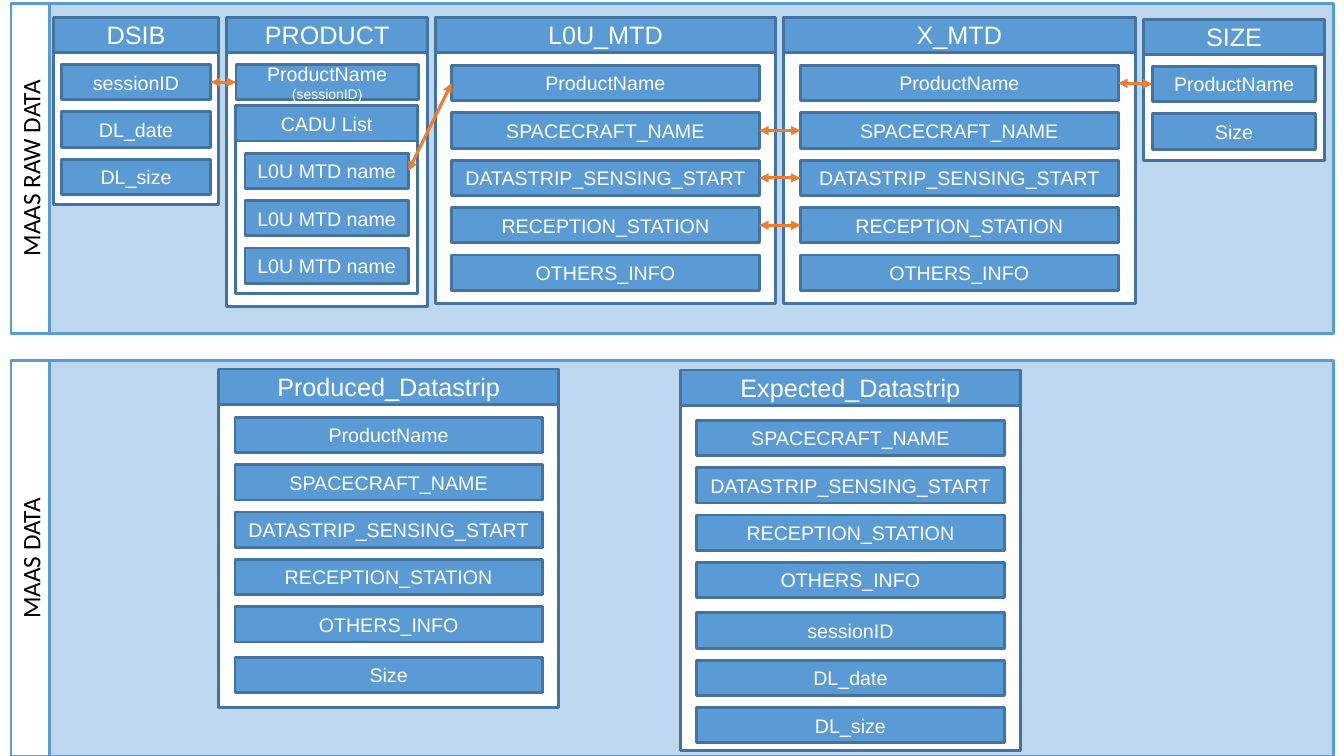
from dataclasses import dataclass
from lxml import etree
from pptx import Presentation
from pptx.dml.color import RGBColor
from pptx.enum import shapes, text
from pptx.oxml import ns
from pptx.util import Inches, Pt


@dataclass(frozen=True)
class Theme:
    """Colours, fonts and type sizes of the slide."""
    blue: str = "5B9BD5"
    edge: str = "43739E"
    pale: str = "BDD7EE"
    white: str = "FFFFFF"
    black: str = "000000"
    orange: str = "ED7D31"
    font: str = "Arial"
    side: str = "Calibri"
    head: int = 18
    row: int = 14
    note: int = 10


T = Theme()


def box(home, left, top, wide, high, fill, line, words="", size=T.row,
        ink=T.white, font=T.font):
    """Add a filled rectangle, with centred text if given, and return it."""
    item = home.add_shape(shapes.MSO_SHAPE.RECTANGLE, Inches(left),
                          Inches(top), Inches(wide), Inches(high))
    item.shadow.inherit = False
    item.fill.solid()
    item.fill.fore_color.rgb = RGBColor.from_string(fill)
    item.line.color.rgb = RGBColor.from_string(line)
    item.line.width = Pt(2)
    if words:
        frame = item.text_frame
        frame.text = words
        frame.word_wrap = True
        frame.vertical_anchor = text.MSO_ANCHOR.MIDDLE
        para = frame.paragraphs[0]
        para.alignment = text.PP_ALIGN.CENTER
        face = para.runs[0].font
        face.name, face.size = font, Pt(size)
        face.color.rgb = RGBColor.from_string(ink)
    return item


deck = Presentation()
deck.slide_width, deck.slide_height = Inches(13.33), Inches(7.5)
slide = deck.slides.add_slide(deck.slide_layouts[6])

# Bands and their side labels, each turned a quarter to the left
for name, mid, long in [("MAAS RAW DATA", 1.67, 3.27), ("MAAS DATA", 5.54, 3.92)]:
    for axis, deep, fill, words in [(6.67, 13.12, T.pale, ""),
                                    (0.3, 0.38, T.white, name)]:
        band = box(slide.shapes, axis - long / 2, mid - deep / 2, long, deep,
                   fill, T.blue, words, T.head, T.black, T.side)
        band.rotation = 270

# Cards: title, type size, left, top, width, height, side pad,
# then blocks of evenly spaced rows as (first top, names)
HIGH, STEP = 0.35, 0.47
META = ["SPACECRAFT_NAME", "DATASTRIP_SENSING_START", "RECEPTION_STATION",
        "OTHERS_INFO"]
FULL = ["ProductName"] + META
LOAD = ["sessionID", "DL_date", "DL_size"]
cards = [
    ("DSIB", T.head, 0.53, 0.17, 1.64, 1.86, 0.08, [(0.64, LOAD)]),
    ("PRODUCT", T.head, 2.25, 0.17, 1.99, 2.87, 0.09, [(0.64, ["ProductName "])]),
    ("CADU List", T.row, 2.34, 1.05, 1.8, 1.86, 0.09, [(1.52, ["L0U MTD name"] * 3)]),
    ("SIZE", T.head, 11.34, 0.19, 1.8, 1.4, 0.09, [(0.66, ["ProductName", "Size"])]),
    ("X_MTD", T.head, 7.77, 0.17, 3.49, 2.84, 0.17, [(0.65, FULL)]),
    ("L0U_MTD", T.head, 4.32, 0.17, 3.37, 2.84, 0.16, [(0.65, FULL)]),
    ("Produced_Datastrip", T.head, 2.17, 3.66, 3.37, 3.36, 0.16,
     [(4.14, FULL), (6.52, ["Size"])]),
    ("Expected_Datastrip", T.head, 6.75, 3.67, 3.37, 3.78, 0.16,
     [(4.17, META), (6.08, LOAD)]),
]
rows = {}
for title, size, left, top, wide, high, pad, blocks in cards:
    home = slide.shapes.add_group_shape().shapes
    box(home, left, top + 0.01, wide, high - 0.01, T.white, T.edge)
    box(home, left, top, wide, HIGH, T.blue, T.edge, title, size)
    for first, names in blocks:
        for i, name in enumerate(names):
            row = box(home, left + pad, first + i * STEP, wide - 2 * pad, HIGH,
                      T.blue, T.edge, name)
            rows.setdefault((title, name), row)

# Small note after the product name
note = rows["PRODUCT", "ProductName "].text_frame.paragraphs[0].add_run()
note.text = "(sessionID)"
note.font.name, note.font.size = T.font, Pt(T.note)
note.font.color.rgb = RGBColor.from_string(T.white)

# Two-way arrows from the right side of one row to the left side of another
links = [
    (("X_MTD", "ProductName"), ("SIZE", "ProductName")),
    (("CADU List", "L0U MTD name"), ("L0U_MTD", "ProductName")),
    (("DSIB", "sessionID"), ("PRODUCT", "ProductName ")),
] + [(("L0U_MTD", name), ("X_MTD", name)) for name in META[:3]]
LEFT, RIGHT = 1, 3
for start, end in links:
    link = slide.shapes.add_connector(shapes.MSO_CONNECTOR.STRAIGHT, 0, 0, 0, 0)
    link.begin_connect(rows[start], RIGHT)
    link.end_connect(rows[end], LEFT)
    link.line.color.rgb = RGBColor.from_string(T.orange)
    link.line.width = Pt(2.25)
    pen = link.line._get_or_add_ln()
    for tip in ("a:headEnd", "a:tailEnd"):
        etree.SubElement(pen, ns.qn(tip), type="triangle")
    etree.SubElement(link._element.spPr, ns.qn("a:effectLst"))

deck.save("out.pptx")
